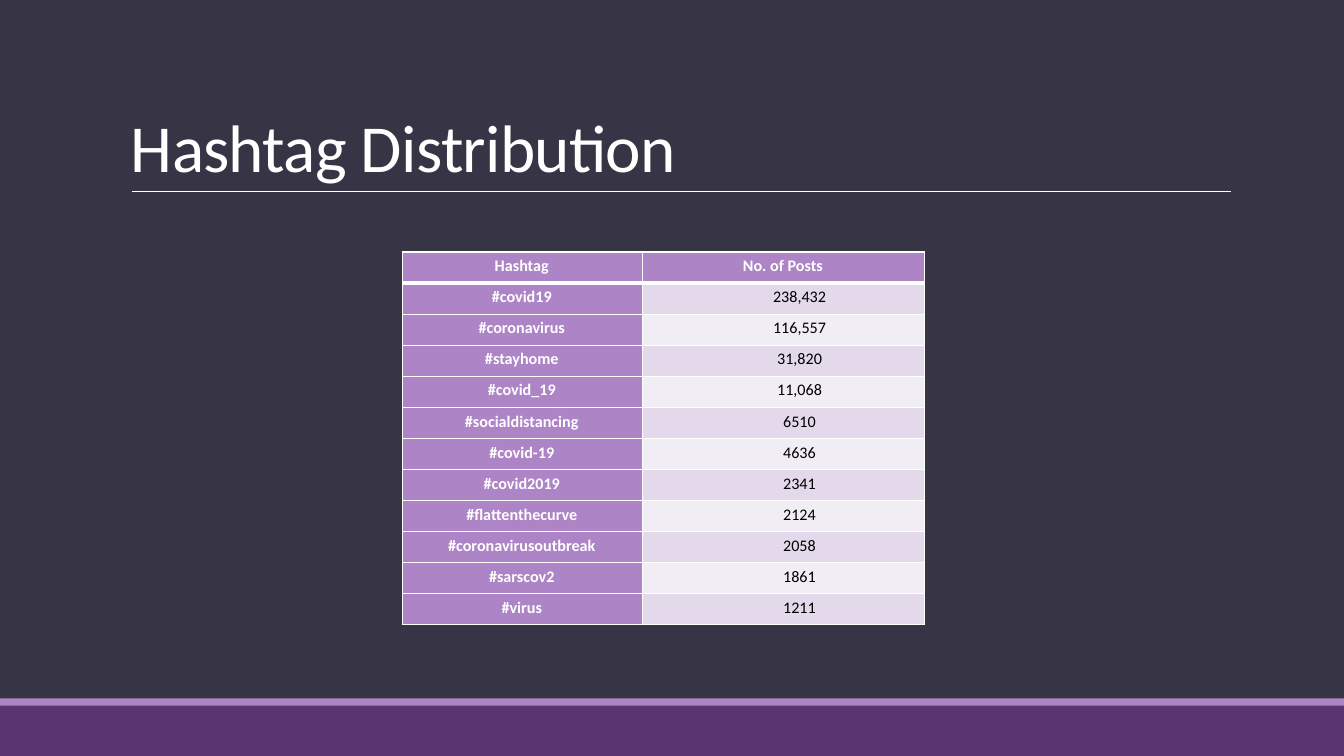
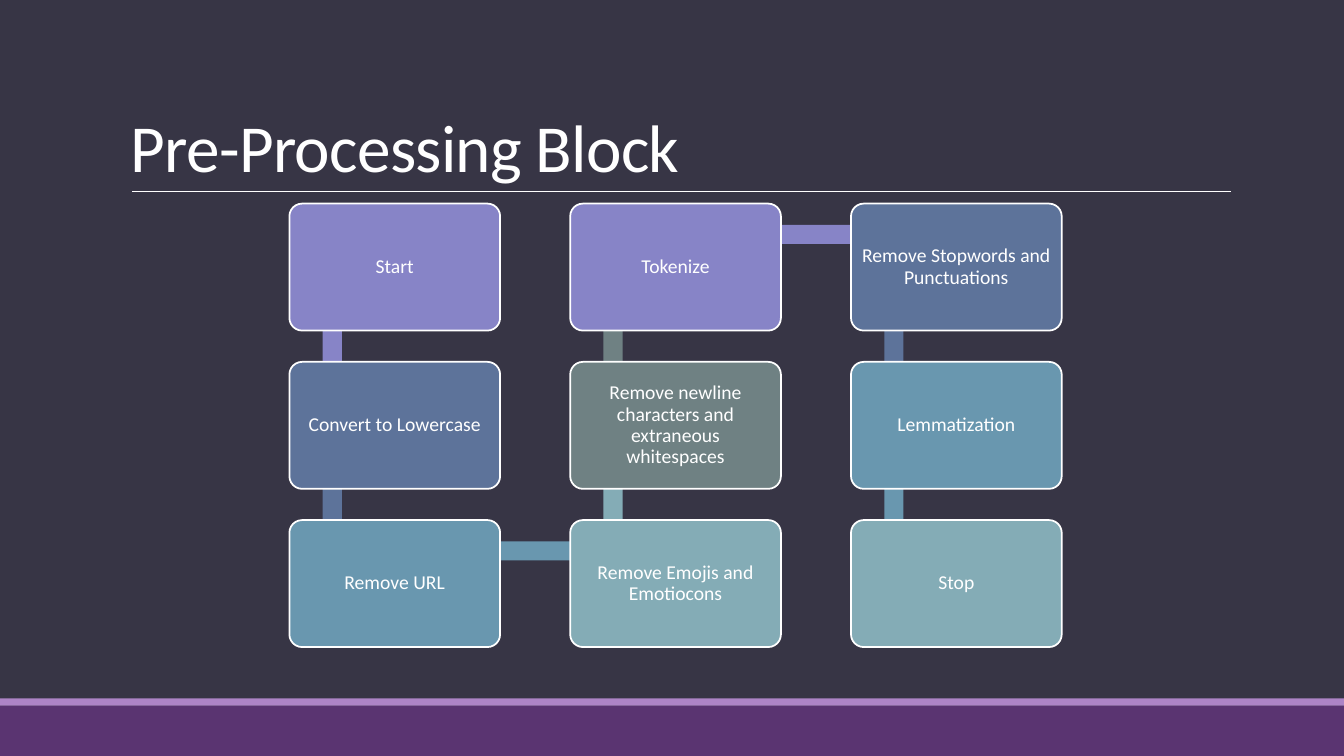
from lxml.etree import SubElement
from pptx import Presentation
from pptx.dml.color import RGBColor
from pptx.enum.shapes import MSO_CONNECTOR, MSO_SHAPE
from pptx.enum.text import MSO_ANCHOR, PP_ALIGN
from pptx.oxml.ns import qn
from pptx.util import Inches, Pt

COLORS = {
    "background": "373545", "band": "5A3471", "accent": "AD84C6",
    "white": "FFFFFF", "black": "000000", "odd": "E3D9EA", "even": "F1EDF5",
    "violet": "8784C7", "blue": "5D739A", "sky": "6997AF",
    "teal": "84ACB6", "slate": "6F8183",
}
FORMATS = {
    "title": {"size": Pt(48), "bold": False},
    "head": {"size": Pt(11.5), "bold": True},
    "value": {"size": Pt(11.5), "bold": False},
    "step": {"size": Pt(14), "bold": False},
}


def write(frame, text, style, color, align, line_spacing):
    """Fill a text frame with one formatted paragraph."""
    frame.word_wrap = True
    para = frame.paragraphs[0]
    para.alignment = align
    para.line_spacing = line_spacing
    span = para.add_run()
    span.text = text
    span.font.name = "Calibri"
    span.font.color.rgb = RGBColor.from_string(COLORS[color])
    for name, value in FORMATS[style].items():
        setattr(span.font, name, value)
    return para, span


def add_block(page, kind, left, top, width, height, color):
    """Add a flat shape without outline or shadow."""
    block = page.shapes.add_shape(
        kind, Inches(left), Inches(top), Inches(width), Inches(height))
    block.shadow.inherit = False
    block.fill.solid()
    block.fill.fore_color.rgb = RGBColor.from_string(COLORS[color])
    block.line.fill.background()
    return block


deck = Presentation()
deck.slide_width, deck.slide_height = Inches(13.33), Inches(7.5)
backdrop = deck.slide_master.background.fill
backdrop.solid()
backdrop.fore_color.rgb = RGBColor.from_string(COLORS["background"])

# Shared frame: bands, rule and title
pages = []
for title in ("Hashtag Distribution", "Pre-Processing Block"):
    page = deck.slides.add_slide(deck.slide_layouts[6])
    add_block(page, MSO_SHAPE.RECTANGLE, 0, 7, 13.33, 0.5, "band")
    add_block(page, MSO_SHAPE.RECTANGLE, 0, 6.93, 13.33, 0.07, "accent")
    rule = page.shapes.add_connector(
        MSO_CONNECTOR.STRAIGHT, Inches(1.31), Inches(1.9), Inches(12.21), Inches(1.9))
    rule.line.width = Pt(0.5)
    rule.line.color.rgb = RGBColor.from_string(COLORS["white"])
    SubElement(rule.line._get_or_add_ln().getparent(), qn("a:effectLst"))
    box = page.shapes.add_textbox(Inches(1.2), Inches(0.31), Inches(11), Inches(1.59))
    box.text_frame.vertical_anchor = MSO_ANCHOR.BOTTOM
    para, span = write(box.text_frame, title, "title", "white", PP_ALIGN.LEFT, 0.85)
    span.font._element.set("spc", "-50")
    pages.append(page)
table_page, flow_page = pages

# Hashtag table
rows = [
    ("Hashtag", "No. of Posts"),
    ("#covid19", "238,432"),
    ("#coronavirus", "116,557"),
    ("#stayhome", "31,820"),
    ("#covid_19", "11,068"),
    ("#socialdistancing", "6510"),
    ("#covid-19", "4636"),
    ("#covid2019", "2341"),
    ("#flattenthecurve", "2124"),
    ("#coronavirusoutbreak", "2058"),
    ("#sarscov2", "1861"),
    ("#virus", "1211"),
]
MARGINS = {"margin_left": 0.07, "margin_top": 0.03, "margin_right": 0.08, "margin_bottom": 0}
table = table_page.shapes.add_table(
    len(rows), 2, Inches(3.99), Inches(2.5), Inches(5.18), Inches(3.7)).table
table.columns[0].width, table.columns[1].width = Inches(2.38), Inches(2.8)
for row, texts in enumerate(rows):
    for column, text in enumerate(texts):
        cell = table.cell(row, column)
        for name, value in MARGINS.items():
            setattr(cell, name, Inches(value))
        is_value = row > 0 and column == 1
        style, color = ("value", "black") if is_value else ("head", "white")
        para, span = write(cell.text_frame, text, style, color, PP_ALIGN.CENTER, 1.07)
        para.space_after = Pt(0.1)
        if is_value:
            para._p.get_or_add_pPr().set("marL", str(Inches(0.33)))

        # White borders, heavier under the header
        for side in ("L", "R", "T", "B"):
            heavy = (row, side) in ((0, "B"), (1, "T"))
            border = SubElement(cell._tc.get_or_add_tcPr(), qn(f"a:ln{side}"),
                                w=str(Pt(3 if heavy else 1)))
            paint = SubElement(border, qn("a:solidFill"))
            SubElement(paint, qn("a:srgbClr"), val=COLORS["white"])
        band = ("odd" if row % 2 else "even") if is_value else "accent"
        cell.fill.solid()
        cell.fill.fore_color.rgb = RGBColor.from_string(COLORS[band])

# Snaking process: text, column, row, colour
steps = [
    ("Start", 0, 0, "violet"),
    ("Convert to Lowercase", 0, 1, "blue"),
    ("Remove URL", 0, 2, "sky"),
    ("Remove Emojis and Emotiocons", 1, 2, "teal"),
    ("Remove newline characters and extraneous whitespaces", 1, 1, "slate"),
    ("Tokenize", 1, 0, "violet"),
    ("Remove Stopwords and Punctuations", 2, 0, "blue"),
    ("Lemmatization", 2, 1, "sky"),
    ("Stop", 2, 2, "teal"),
]
LEFT, TOP, WIDTH, HEIGHT = 2.87, 2.02, 2.09, 1.26
STEP_X, STEP_Y, BAR = 2.785, 1.57, 0.19
for index, (text, column, row, color) in enumerate(steps):
    left, top = LEFT + column * STEP_X, TOP + row * STEP_Y

    # Bar to the next step, tucked behind both boxes
    if index + 1 < len(steps):
        next_column, next_row = steps[index + 1][1:3]
        if next_column == column:
            bar_top = TOP + min(row, next_row) * STEP_Y + 0.32
            bar = (left + 0.33, bar_top, BAR, STEP_Y)
        else:
            bar = (left + 0.42, top + 0.21, STEP_X, BAR)
        add_block(flow_page, MSO_SHAPE.RECTANGLE, *bar, color)

    box = add_block(flow_page, MSO_SHAPE.ROUNDED_RECTANGLE, left, top, WIDTH, HEIGHT, color)
    box.adjustments[0] = 0.1
    box.line.width = Pt(1.25)
    box.line.color.rgb = RGBColor.from_string(COLORS["white"])
    frame = box.text_frame
    frame.vertical_anchor = MSO_ANCHOR.MIDDLE
    # Left and right insets allow for the inset of the rounded corners
    frame.margin_left = frame.margin_right = Inches(0.07)
    write(frame, text, "step", "white", PP_ALIGN.CENTER, 0.9)

deck.save("out.pptx")
